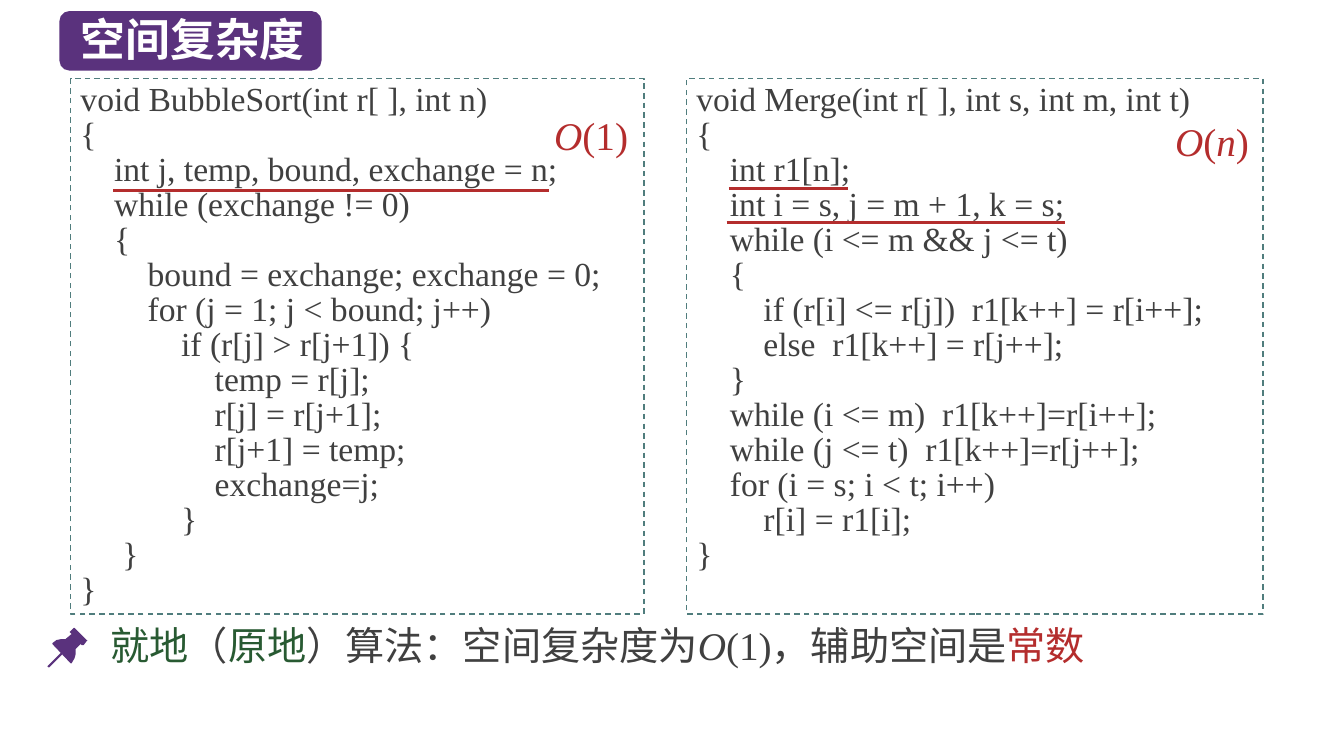
from lxml import etree
from pptx import Presentation
from pptx.dml.color import RGBColor
from pptx.enum.dml import MSO_LINE
from pptx.enum.shapes import MSO_CONNECTOR, MSO_SHAPE
from pptx.enum.text import MSO_ANCHOR, MSO_AUTO_SIZE, PP_ALIGN
from pptx.oxml.ns import qn
from pptx.util import Pt

DASH = MSO_LINE.DASH
LINE = MSO_CONNECTOR.STRAIGHT
ROUND, RECT = MSO_SHAPE.ROUNDED_RECTANGLE, MSO_SHAPE.RECTANGLE
TOP, MIDDLE = MSO_ANCHOR.TOP, MSO_ANCHOR.MIDDLE
LEFT = PP_ALIGN.LEFT
FIXED = MSO_AUTO_SIZE.NONE

SERIF, SANS = "Times New Roman", "Noto Sans CJK SC"
INK = {name: RGBColor.from_string(code) for name, code in {
    "purple": "5A327D", "white": "FFFFFF", "text": "404040",
    "teal": "507D7D", "red": "B42D2D", "green": "285A32",
}.items()}

BUBBLE = """void BubbleSort(int r[ ], int n)
{
    int j, temp, bound, exchange = n;
    while (exchange != 0)
    {
        bound = exchange; exchange = 0;
        for (j = 1; j < bound; j++)
            if (r[j] > r[j+1]) {
                temp = r[j];
                r[j] = r[j+1];
                r[j+1] = temp;
                exchange=j;
            }
     }
}"""

MERGE = """void Merge(int r[ ], int s, int m, int t)
{
    int r1[n];
    int i = s, j = m + 1, k = s;
    while (i <= m && j <= t)
    {
        if (r[i] <= r[j])  r1[k++] = r[i++];
        else  r1[k++] = r[j++];
    }
    while (i <= m)  r1[k++]=r[i++];
    while (j <= t)  r1[k++]=r[j++];
    for (i = s; i < t; i++)
        r[i] = r1[i];
}"""


def style(run, size, tint, face=SERIF):
    run.font.size = Pt(size)
    run.font.name = face
    run.font.color.rgb = INK[tint]
    east = etree.SubElement(run.font._element, qn("a:ea"))
    east.set("typeface", SANS)


def write(box, parts):
    para = box.text_frame.paragraphs[0]
    for text, tint, slant in parts:
        run = para.add_run()
        run.text = text
        style(run, 28, tint)
        run.font.italic = slant
    return para


deck = Presentation()
deck.slide_width, deck.slide_height = Pt(960), Pt(540)
slide = deck.slides.add_slide(deck.slide_layouts[5])
shapes = slide.shapes

badge = shapes.add_shape(ROUND, Pt(42.5), Pt(7.9), Pt(187.2), Pt(42.5))
badge.shadow.inherit = False
badge.fill.solid()
badge.fill.fore_color.rgb = INK["purple"]
badge.line.fill.background()

title = shapes.title
title.element.getparent().append(title.element)
title.left, title.top, title.width, title.height = Pt(50.4), Pt(5), Pt(194.4), Pt(46)
frame = title.text_frame
frame.text = "空间复杂度"
frame.auto_size = FIXED
frame.vertical_anchor = TOP
head = frame.paragraphs[0]
head.alignment = LEFT
style(head.runs[0], 32, "white", SANS)
head.runs[0].font.bold = True

for left, width, code in [(50.4, 409.7, BUBBLE), (490.3, 411.8, MERGE)]:
    panel = shapes.add_shape(RECT, Pt(left), Pt(56.2), Pt(width), Pt(382.3))
    panel.shadow.inherit = False
    panel.fill.background()
    panel.line.color.rgb = INK["teal"]
    panel.line.width = Pt(1)
    panel.line.dash_style = DASH
    frame = panel.text_frame
    frame.text = code
    frame.word_wrap = True
    frame.vertical_anchor = TOP
    for para in frame.paragraphs:
        para.alignment = LEFT
        para.line_spacing = Pt(25)
        style(para.runs[0], 24, "text")

COSTS = [
    (388.8, 51.1, [("O", "red", True), ("(1)", "red", False)]),
    (832.3, 60.5, [("O", "red", True), ("(", "red", False),
                   ("n", "red", True), (")", "red", False)]),
]
for left, height, parts in COSTS:
    cost = shapes.add_textbox(Pt(left), Pt(74.9), Pt(69.8), Pt(height))
    cost.text_frame.word_wrap = True
    cost.text_frame.vertical_anchor = MIDDLE
    write(cost, parts).line_spacing = Pt(25)

for start, end, y in [(80.9, 392.4, 136.3), (520.6, 605.5, 134.6), (519.1, 761, 159.1)]:
    rule = shapes.add_connector(LINE, Pt(start), Pt(y), Pt(end), Pt(y))
    rule.line.color.rgb = INK["red"]
    rule.line.width = Pt(2.25)
    etree.SubElement(rule.element.spPr, qn("a:effectLst"))

note = shapes.add_textbox(Pt(72), Pt(440.6), Pt(751.7), Pt(41))
note.text_frame.word_wrap = True
write(note, [
    ("就地", "green", False),
    ("（", "text", False),
    ("原地", "green", False),
    ("）算法：空间复杂度为", "text", False),
    ("O", "text", True),
    ("(1)，辅助空间是", "text", False),
    ("常数", "red", False),
])

PIN = [
    [(86, 635), (74, 623), (73, 623), (70, 626), (69, 627), (71, 629), (65, 634),
     (61, 634), (56, 635), (52, 638), (52, 639), (70, 658), (71, 658), (74, 653),
     (75, 649), (75, 644), (80, 639), (81, 640), (83, 640), (86, 636), (87, 635)],
    [(49, 662), (48, 662), (47, 661), (48, 660), (61, 647), (62, 647),
     (63, 648), (62, 649)],
]
for points in PIN:
    pen = shapes.build_freeform(*points[0], scale=Pt(0.72))
    pen.add_line_segments(points[1:], close=True)
    part = pen.convert_to_shape()
    part.shadow.inherit = False
    part.fill.solid()
    part.fill.fore_color.rgb = INK["purple"]
    part.line.fill.background()

deck.save("out.pptx")
